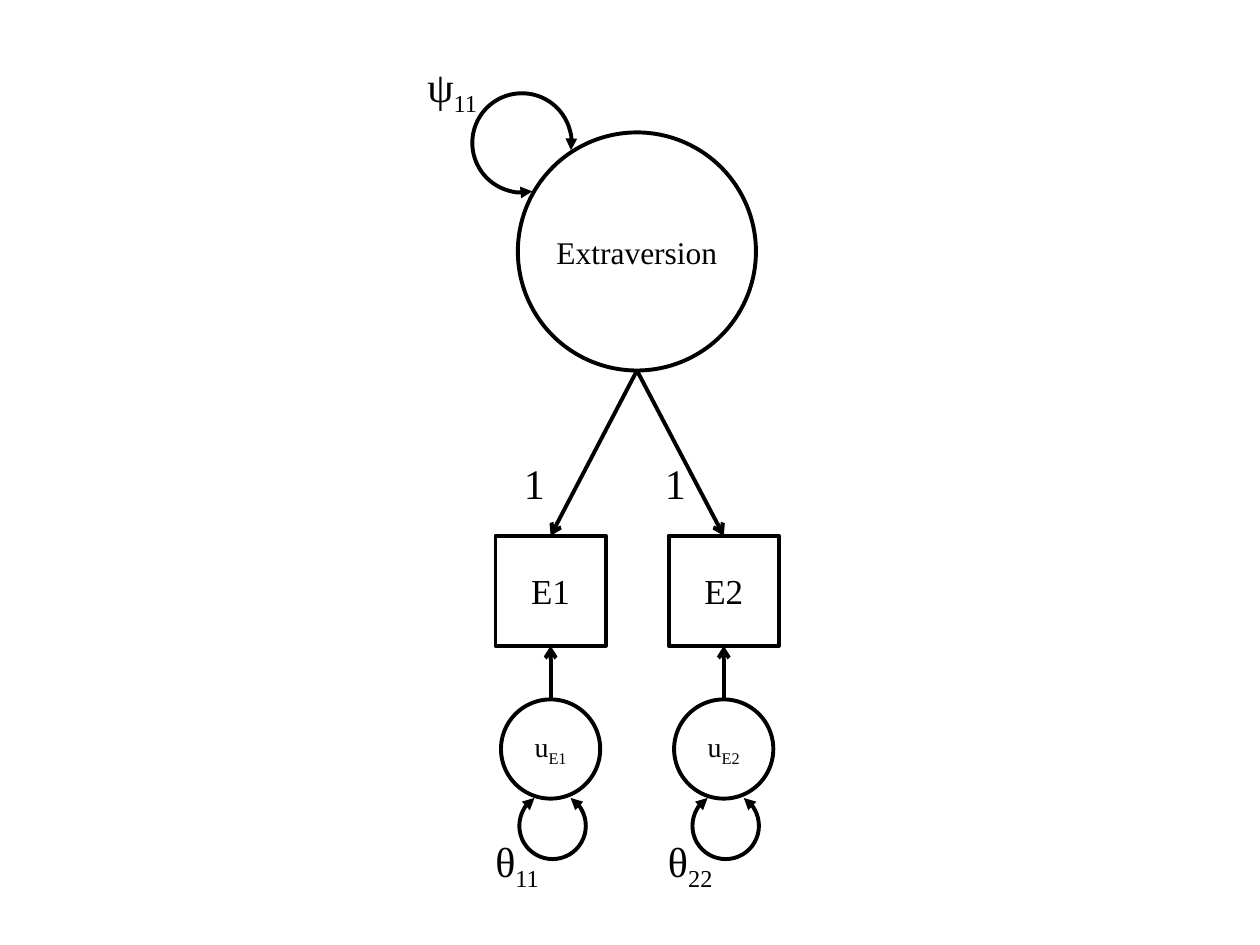
import pptx
import pptx.dml.color
import pptx.enum.shapes
import pptx.enum.text
import pptx.oxml.ns
import pptx.util
from lxml import etree

Cm, Pt = pptx.util.Cm, pptx.util.Pt
KIND = pptx.enum.shapes.MSO_SHAPE
INK = pptx.dml.color.RGBColor(0, 0, 0)
PAPER = pptx.dml.color.RGBColor(255, 255, 255)
FONT = "Times New Roman"
WIDE = 2.25


def add_tag(node, name, **attrs):
    return etree.SubElement(node, pptx.oxml.ns.qn(name), **attrs)


def set_line(shape, **ends):
    """Black line; ends maps headEnd or tailEnd to an arrow type."""
    shape.line.width = Pt(WIDE)
    shape.line.fill.solid()
    shape.line.fill.fore_color.rgb = INK
    node = shape._element.spPr.find(pptx.oxml.ns.qn("a:ln"))
    for end, form in ends.items():
        add_tag(node, "a:" + end, type=form)


def write(shape, size, text, sub=""):
    """Centred label with an optional subscript run."""
    frame = shape.text_frame
    frame.word_wrap = True
    para = frame.paragraphs[0]
    para.alignment = pptx.enum.text.PP_ALIGN.CENTER
    for word, base in ((text, None), (sub, "-25000")):
        if not word:
            continue
        run = para.add_run()
        run.text = word
        run.font.name = FONT
        run.font.size = Pt(size)
        run.font.color.rgb = INK
        if base:
            run._r.get_or_add_rPr().set("baseline", base)


def add_node(shapes, kind, left, top, side, size, text, sub=""):
    node = shapes.add_shape(kind, Cm(left), Cm(top), Cm(side), Cm(side))
    node.shadow.inherit = False
    node.fill.solid()
    node.fill.fore_color.rgb = PAPER
    set_line(node)
    node.text_frame.vertical_anchor = pptx.enum.text.MSO_ANCHOR.MIDDLE
    write(node, size, text, sub)
    return node


def add_loop(shapes, left, top, side, start, stop, turn=0):
    """Two-headed variance loop; angles are in degrees."""
    loop = shapes.add_shape(KIND.ARC, Cm(left), Cm(top), Cm(side), Cm(side))
    loop.shadow.inherit = False
    loop.fill.background()
    # Arc angles are stored in 60000ths, adjustments in 100000ths
    loop.adjustments[0] = start * 0.6
    loop.adjustments[1] = stop * 0.6
    loop.rotation = turn
    set_line(loop, headEnd="triangle", tailEnd="triangle")


def add_label(shapes, left, top, width, text, sub=""):
    label = shapes.add_textbox(Cm(left), Cm(top), Cm(width), Cm(1.27))
    write(label, 24, text, sub)
    label.text_frame.auto_size = pptx.enum.text.MSO_AUTO_SIZE.SHAPE_TO_FIT_TEXT


def add_arrow(shapes, x, y, goal, site):
    """Arrow from a point to a side of the goal."""
    arrow = shapes.add_connector(
        pptx.enum.shapes.MSO_CONNECTOR.STRAIGHT, Cm(x), Cm(y), Cm(x), Cm(y))
    arrow.end_connect(goal, site)
    set_line(arrow, tailEnd="arrow")
    add_tag(arrow._element.spPr, "a:effectLst")
    return arrow


def add_factor(shapes, left, top, side):
    # Latent factor with its variance
    node = add_node(shapes, KIND.OVAL, left, top, side, 18, "Extraversion")
    node.text_frame.margin_left = node.text_frame.margin_right = 0
    add_loop(shapes, left - 0.92, top - 0.79, 2, 302.95, 233.5, 135)
    add_label(shapes, left - 2.24, top - 1.58, 1.83, "ψ", "11")


def add_item(shapes, left, top, side, num):
    # Observed item
    item = add_node(shapes, KIND.RECTANGLE, left, top, side, 20, f"E{num}")

    # Residual with its variance
    group = shapes.add_group_shape().shapes
    error = add_node(group, KIND.OVAL, left + 0.11, top + 3.3, 2, 16,
                     "u", f"E{num}")
    add_loop(group, left + 0.48, top + 5.18, 1.34, 302.95, 237.13)
    add_label(group, left - 0.35, top + 5.91, 1.57, "θ", f"{num}{num}")

    arrow = add_arrow(shapes, left + side / 2, top + 3.3, item, 2)
    arrow.begin_connect(error, 0)
    return item


def main():
    deck = pptx.Presentation()
    deck.slide_width, deck.slide_height = Cm(25.4), Cm(19.05)
    shapes = deck.slides.add_slide(deck.slide_layouts[6]).shapes

    # Items, each with its loading from the factor
    left, top, side = 10.44, 2.67, 4.8
    for col in range(2):
        item = add_item(shapes, 9.99 + 3.49 * col, 10.8, 2.22, col + 1)
        add_arrow(shapes, left + side / 2, top + side, item, 0)
        add_label(shapes, 9.86 + 2.84 * col, 9.09, 1.83, "1")
    add_factor(shapes, left, top, side)

    deck.save("out.pptx")


if __name__ == "__main__":
    main()
